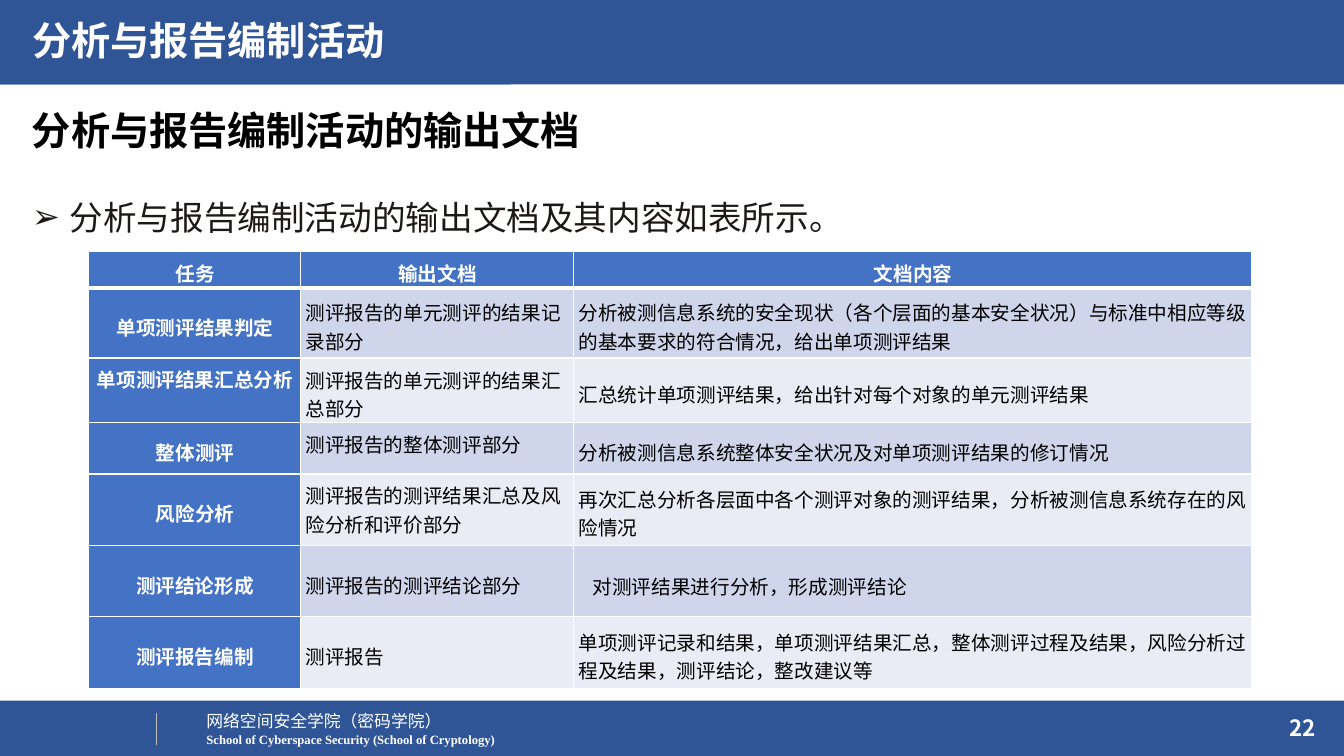
import pptx
import pptx.util
import pptx.dml.color
import pptx.enum.shapes
import pptx.enum.text
import pptx.oxml
import pptx.oxml.ns
from lxml import etree

Pt = pptx.util.Pt
PP = pptx.enum.text.PP_ALIGN
MSO = pptx.enum.text.MSO_ANCHOR
CJK = "Noto Sans CJK SC"
NS = 'xmlns:a="http://schemas.openxmlformats.org/drawingml/2006/main"'


def rgb(color):
    return pptx.dml.color.RGBColor.from_string(color)


def write(tf, text, size, font, color, bold=False, align=PP.LEFT):
    p = tf.paragraphs[0]
    p.text = text
    p.alignment = align
    r = p.runs[0]
    r.font.size = Pt(size)
    r.font.name = font
    r.font.bold = bold
    r.font.color.rgb = rgb(color)
    ea = etree.SubElement(r.font._element, pptx.oxml.ns.qn("a:ea"))
    ea.set("typeface", CJK if font == "Calibri" else font)
    return p


prs = pptx.Presentation()
prs.slide_width, prs.slide_height = Pt(960), Pt(540)
s = prs.slides.add_slide(prs.slide_layouts[6])

bands = [(0, 500.4, 960, 39.6), (0, 0, 960, 60.3), (0, -0.5, 365, 60.8)]
for left, top, width, height in bands:
    sp = s.shapes.add_shape(pptx.enum.shapes.MSO_SHAPE.RECTANGLE,
                            Pt(left), Pt(top), Pt(width), Pt(height))
    sp.shadow.inherit = False
    sp.fill.solid()
    sp.fill.fore_color.rgb = rgb("2F5597")
    sp.line.fill.background()

divider = s.shapes.add_connector(pptx.enum.shapes.MSO_CONNECTOR.STRAIGHT,
                                 Pt(112), Pt(509), Pt(112), Pt(532))
divider.line.color.rgb = rgb("BFBFBF")
divider.line.width = Pt(0.5)
etree.SubElement(divider._element.spPr, pptx.oxml.ns.qn("a:effectLst"))

texts = [
    ((140.4, 504, 184.3, 21.8), "网络空间安全学院（密码学院）", 12, CJK, "FFFFFF", False, PP.LEFT),
    ((140.4, 519.1, 222.5, 18.2), "School of Cyberspace Security (School of Cryptology)",
     9, "Times New Roman", "FFFFFF", True, PP.LEFT),
    ((730.8, 505.4, 216, 28.8), "22", 16, CJK, "FFFFFF", True, PP.RIGHT),
    ((15.8, 72.7, 928.8, 44.6), "分析与报告编制活动的输出文档", 28, CJK, "000000", True, PP.LEFT),
    ((15.8, 122.4, 928.8, 355.7), "分析与报告编制活动的输出文档及其内容如表所示。",
     24, "Calibri", "1C1917", False, PP.LEFT),
    ((15.8, 7.9, 606.2, 43.9), "分析与报告编制活动", 28, CJK, "FFFFFF", True, PP.LEFT),
]
for box, text, size, font, color, bold, align in texts:
    sp = s.shapes.add_textbox(*[Pt(v) for v in box])
    tf = sp.text_frame
    tf.word_wrap = size > 12
    p = write(tf, text, size, font, color, bold, align)
    if size == 16:
        tf.vertical_anchor = MSO.MIDDLE
    elif size == 24:
        tf.margin_top = Pt(18)
        pPr = p._p.get_or_add_pPr()
        pPr.set("marL", str(Pt(27)))
        pPr.set("indent", str(Pt(-27)))
        pPr.append(pptx.oxml.parse_xml(f'<a:buFont {NS} typeface="Calibri"/>'))
        pPr.append(pptx.oxml.parse_xml(f'<a:buChar {NS} char="➢"/>'))

rows = [
    ("任务", "输出文档", "文档内容"),
    ("单项测评结果判定", "测评报告的单元测评的结果记录部分",
     "分析被测信息系统的安全现状（各个层面的基本安全状况）与标准中相应等级的基本要求的符合情况，给出单项测评结果"),
    ("单项测评结果汇总分析", "测评报告的单元测评的结果汇总部分",
     "汇总统计单项测评结果，给出针对每个对象的单元测评结果"),
    ("整体测评", "测评报告的整体测评部分", "分析被测信息系统整体安全状况及对单项测评结果的修订情况"),
    ("风险分析", "测评报告的测评结果汇总及风险分析和评价部分",
     "再次汇总分析各层面中各个测评对象的测评结果，分析被测信息系统存在的风险情况"),
    ("测评结论形成", "测评报告的测评结论部分", "对测评结果进行分析，形成测评结论"),
    ("测评报告编制", "测评报告",
     "单项测评记录和结果，单项测评结果汇总，整体测评过程及结果，风险分析过程及结果，测评结论，整改建议等"),
]
top_cells = {(0, 0), (0, 1), (2, 0), (3, 1), (4, 1)}
row_heights = (26, 50, 46.4, 36.5, 51, 51, 51)
table = s.shapes.add_table(7, 3, Pt(63.4), Pt(179.7), Pt(830.9), Pt(sum(row_heights))).table
for col, width in zip(table.columns, (151.2, 195.1, 484.6)):
    col.width = Pt(width)
for row, height in zip(table.rows, row_heights):
    row.height = Pt(height)

for i, row in enumerate(rows):
    for j, text in enumerate(row):
        cell = table.cell(i, j)
        head = i == 0 or j == 0
        cell.margin_left, cell.margin_top = Pt(3.6), Pt(5)
        cell.margin_right, cell.margin_bottom = Pt(2.9), Pt(0)
        cell.vertical_anchor = MSO.TOP if (i, j) in top_cells else MSO.MIDDLE
        p = write(cell.text_frame, text, 14, "Calibri", "FFFFFF" if head else "000000",
                  head, PP.CENTER if head else PP.LEFT)
        if (i, j) == (5, 2):
            p._p.get_or_add_pPr().set("marL", str(Pt(10)))
            p.line_spacing = 1.07
        cell.fill.solid()
        cell.fill.fore_color.rgb = rgb("4472C4" if head else "CFD5EA" if i % 2 else "E9EBF5")
        tcPr = cell._tc.get_or_add_tcPr()
        for k, side in enumerate("LRTB"):
            thick = (i, side) in ((0, "B"), (1, "T"))
            tcPr.insert(k, pptx.oxml.parse_xml(
                f'<a:ln{side} {NS} w="{Pt(3 if thick else 1)}"><a:solidFill>'
                f'<a:srgbClr val="FFFFFF"/></a:solidFill></a:ln{side}>'))

prs.save("out.pptx")
